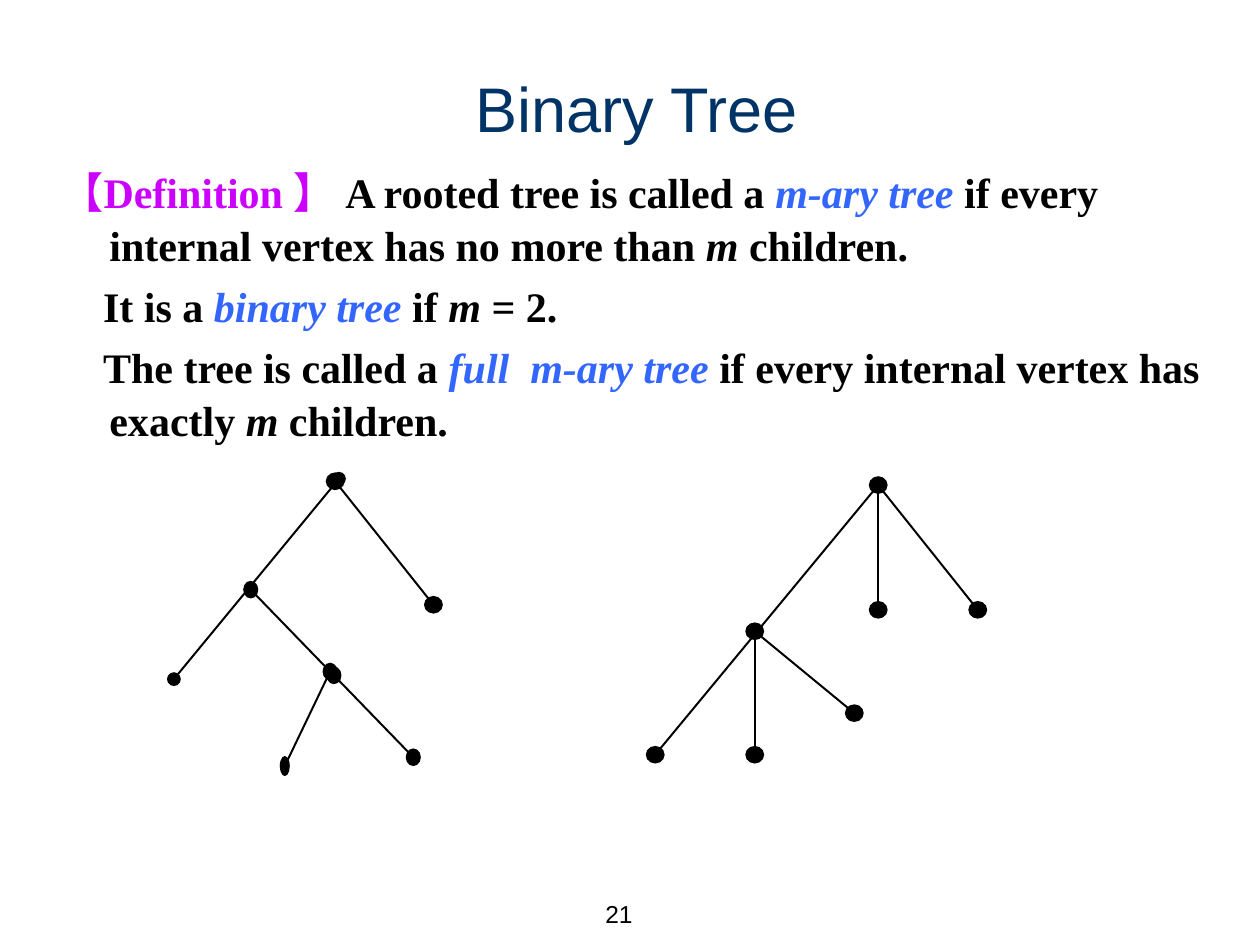
"""Builds the Binary Tree slide with a definition and two example trees."""
from lxml import etree
from pptx import Presentation
from pptx.dml.color import RGBColor
from pptx.enum.shapes import MSO_CONNECTOR, MSO_SHAPE
from pptx.enum.text import MSO_ANCHOR, PP_ALIGN
from pptx.oxml.ns import qn
from pptx.util import Inches, Pt

LINE = MSO_CONNECTOR.STRAIGHT
OVAL = MSO_SHAPE.OVAL
LEFT, CENTER, RIGHT = PP_ALIGN.LEFT, PP_ALIGN.CENTER, PP_ALIGN.RIGHT
TOP, MIDDLE = MSO_ANCHOR.TOP, MSO_ANCHOR.MIDDLE

COLORS = {"ink": "000000", "title": "003366", "label": "CC00FF", "term": "3366FF"}
HANG = 0.38
BIG, SMALL, NARROW, THIN = (0.15, 0.14), (0.11, 0.11), (0.12, 0.14), (0.08, 0.16)

DEFINITION = [
    (-HANG, [("【Definition 】 ", "label", False), ("A rooted tree is called a ", "ink", False),
             ("m-ary tree ", "term", True),
             ("if every internal vertex has no more than ", "ink", False),
             ("m", "ink", True), (" children.", "ink", False)]),
    (-0.05, [("It is a ", "ink", False), ("binary tree ", "term", True), ("if ", "ink", False),
             ("m", "ink", True), (" = 2.", "ink", False)]),
    (-0.05, [("The tree is called a ", "ink", False), ("full  m-ary tree ", "term", True),
             ("if every internal vertex has exactly ", "ink", False),
             ("m", "ink", True), (" children.", "ink", False)]),
]

TERNARY_NODES = {
    "root": (6.97, 3.85, BIG), "left": (5.99, 5.01, BIG), "middle": (6.97, 4.84, BIG),
    "right": (7.76, 4.84, BIG), "left_a": (5.2, 5.99, BIG), "left_b": (5.99, 5.99, BIG),
    "left_c": (6.78, 5.66, BIG),
}
TERNARY_EDGES = [("root", "left_a"), ("root", "middle"), ("root", "right"),
                 ("left", "left_b"), ("left", "left_c")]

BINARY_NODES = {
    "root_left": (2.69, 3.8, SMALL), "root": (2.66, 3.82, BIG), "left": (1.99, 4.68, NARROW),
    "right": (3.44, 4.8, BIG), "left_a": (1.38, 5.39, SMALL), "left_b": (2.62, 5.33, NARROW),
    "inner": (2.65, 5.36, NARROW), "inner_a": (2.26, 6.08, THIN), "inner_b": (3.28, 6.01, NARROW),
}
BINARY_EDGES = [("root_left", "left_a"), ("root", "right"), ("left", "left_b"),
                ("inner", "inner_b"), ("left_b", "inner_a")]


def rgb(name):
    """Return the named colour."""
    return RGBColor.from_string(COLORS[name])


def add_run(p, text, *, size, font, color="ink", bold=False, italic=False):
    """Append a formatted run to a paragraph."""
    r = p.add_run()
    r.text = text
    r.font.size, r.font.name = Pt(size), font
    r.font.bold, r.font.italic = bold, italic
    r.font.color.rgb = rgb(color)


def add_box(s, box, *, anchor=TOP, wrap=True):
    """Add an empty text box and return its text frame."""
    tf = s.shapes.add_textbox(*map(Inches, box)).text_frame
    tf.word_wrap, tf.vertical_anchor = wrap, anchor
    return tf


def add_text(s, box, text, *, align=LEFT, wrap=True, **style):
    """Add a single formatted line of text, centred vertically."""
    p = add_box(s, box, anchor=MIDDLE, wrap=wrap).paragraphs[0]
    p.alignment = align
    add_run(p, text, **style)


def add_definition(s, box, paragraphs):
    """Add the hanging paragraphs of the definition."""
    tf = add_box(s, box)
    for i, (indent, runs) in enumerate(paragraphs):
        p = tf.add_paragraph() if i else tf.paragraphs[0]
        p.line_spacing = 1.05
        if i:
            p.space_before = Pt(4.8)
        pPr = p._p.get_or_add_pPr()
        pPr.set("marL", str(Inches(HANG)))
        pPr.set("indent", str(Inches(indent)))
        for text, color, italic in runs:
            add_run(p, text, size=24, font="Times New Roman", color=color,
                    bold=True, italic=italic)


def add_edge(group, start, end):
    """Draw a line between two node centres."""
    line = group.shapes.add_connector(LINE, *map(Inches, (*start[:2], *end[:2])))
    line.line.color.rgb = rgb("ink")
    line.line.width = Pt(1.13)
    etree.SubElement(line._element.spPr, qn("a:effectLst"))


def add_node(group, x, y, size):
    """Draw a filled dot centred on a point."""
    w, h = size
    dot = group.shapes.add_shape(OVAL, *map(Inches, (x - w / 2, y - h / 2, w, h)))
    dot.shadow.inherit = False
    dot.fill.solid()
    dot.fill.fore_color.rgb = rgb("ink")
    dot.line.fill.background()


def add_tree(s, nodes, edges):
    """Draw a tree as one group of edges and nodes."""
    group = s.shapes.add_group_shape()
    for start, end in edges:
        add_edge(group, nodes[start], nodes[end])
    for node in nodes.values():
        add_node(group, *node)


def main():
    """Build and save the slide."""
    prs = Presentation()
    prs.slide_width, prs.slide_height = Inches(10), Inches(7.5)
    s = prs.slides.add_slide(prs.slide_layouts[6])
    add_text(s, (4.45, 7, 0.67, 0.5), "21", align=RIGHT, wrap=False, size=14, font="Arial")
    add_text(s, (0.55, 0.47, 9, 0.77), "Binary Tree", align=CENTER, size=36, font="Arial",
             color="title")
    add_definition(s, (0.39, 1.25, 9.26, 2.28), DEFINITION)
    add_tree(s, TERNARY_NODES, TERNARY_EDGES)
    add_tree(s, BINARY_NODES, BINARY_EDGES)
    prs.save("out.pptx")


if __name__ == "__main__":
    main()
